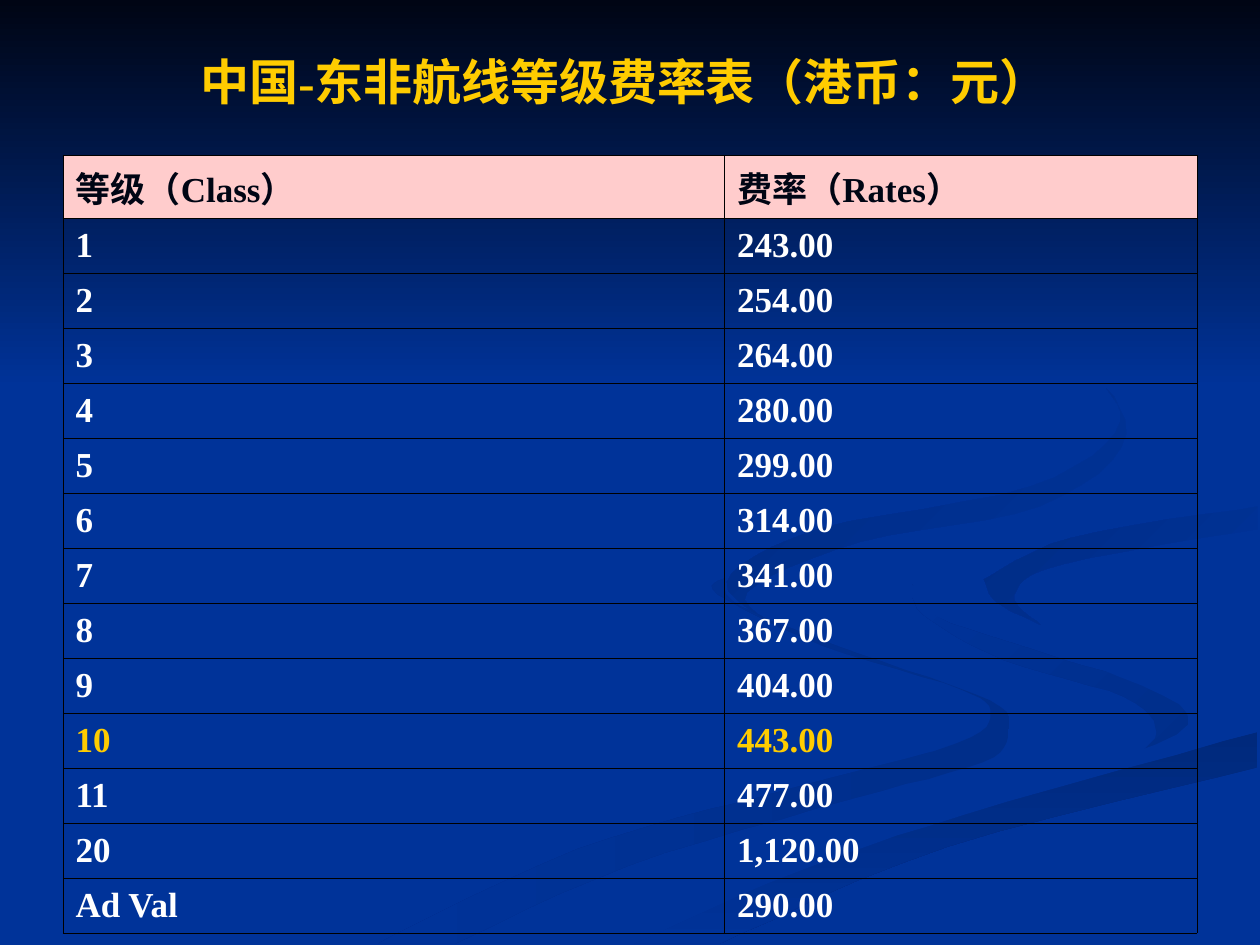
from dataclasses import dataclass
from typing import NamedTuple, Optional

from lxml import etree
from pptx import Presentation, util as u
from pptx.dml.color import RGBColor
from pptx.enum import text
from pptx.oxml.ns import qn

PX = 9144  # EMU per px, 100 px to the inch
SLIDE_W, SLIDE_H = 1000, 750
CURVE_STEPS = 6

Edge = list[tuple[int, int]]


@dataclass(frozen=True)
class Theme:
    background: str = "003399"
    night: str = "000514"
    accent: str = "FFCC00"
    body: str = "FFFFFF"
    header_fill: str = "FFCCCC"
    border: str = "000000"
    curve_shade: str = "002E8A"
    band_shade: str = "00297C"
    hook_shade: str = "002C85"
    upper_shade: str = "002B81"
    font: str = "Times New Roman"
    title_size: int = 28
    body_size: int = 20
    border_width: float = 0.34


THEME = Theme()


class Rate(NamedTuple):
    grade: str
    amount: str
    color: str = THEME.body


@dataclass(frozen=True)
class Ribbon:
    """Outline of smooth edges; a second color makes a gradient, angle is clockwise."""
    edges: list[Edge]
    start: str
    end: Optional[str] = None
    angle: int = 0


BAND_TOP = [(998, 581), (764, 647), (630, 693), (503, 749)]

RIBBONS = [
    # Left S-curve
    Ribbon([[(575, 459), (587, 481), (682, 519), (786, 556), (800, 581), (780, 605),
             (676, 634), (499, 687), (361, 749)],
            [(300, 749), (458, 674), (616, 629), (759, 590), (786, 566), (762, 547),
             (654, 513), (570, 472), (575, 459)]],
           THEME.curve_shade, THEME.background, 180),
    # Right S-curve
    Ribbon([[(724, 464), (745, 490), (830, 519), (919, 547), (943, 570), (932, 589), (894, 605)],
            [(894, 605), (918, 581), (892, 553), (797, 524), (733, 488), (724, 464)]],
           THEME.curve_shade, THEME.background, 225),
    # Lower band
    Ribbon([BAND_TOP, [(571, 749), (752, 672), (998, 609)]],
           THEME.band_shade, THEME.background, 90),
    # Plain ribbon between the curves
    Ribbon([[(477, 749), (619, 684), (813, 625), (943, 575), (871, 530), (745, 490),
             (725, 464), (755, 432), (999, 387)],
            [(999, 402), (850, 427), (781, 463), (832, 498), (999, 538)], BAND_TOP],
           THEME.background),
    # Right hook
    Ribbon([[(781, 460), (791, 478), (826, 496)],
            [(826, 496), (805, 472), (843, 448), (998, 420)],
            [(998, 402), (850, 427), (781, 460)]],
           THEME.background, THEME.hook_shade, 225),
    # Upper S-curve
    Ribbon([[(762, 233), (843, 275), (894, 344), (825, 402), (683, 430), (593, 470), (622, 500)],
            [(622, 500), (577, 462), (649, 420), (818, 386), (889, 335), (846, 279), (762, 233)]],
           THEME.background, THEME.upper_shade, 225),
    # Dark sky at the top
    Ribbon([[(0, 0), (SLIDE_W, 0)], [(SLIDE_W, 308), (0, 308)]],
           THEME.night, THEME.background, 90),
]

TITLE = "中国-东非航线等级费率表（港币：元） "
RATES = [
    Rate("等级（Class）", "费率（Rates）", THEME.night),
    Rate("1", "243.00"),
    Rate("2", "254.00"),
    Rate("3", "264.00"),
    Rate("4", "280.00"),
    Rate("5", "299.00"),
    Rate("6", "314.00"),
    Rate("7", "341.00"),
    Rate("8", "367.00"),
    Rate("9", "404.00"),
    Rate("10", "443.00", THEME.accent),
    Rate("11", "477.00"),
    Rate("20", "1,120.00"),
    Rate("Ad Val", "290.00"),
]
COLUMN_WIDTHS = (525, 375)
TABLE_LEFT, TABLE_TOP, TABLE_H = 50, 123, 611


def rgb(color: str) -> RGBColor:
    return RGBColor.from_string(color)


def smooth(edge: Edge) -> list[tuple[float, float]]:
    """Catmull-Rom curve through the points of one edge."""
    padded = [edge[0], *edge, edge[-1]]
    curve = [edge[0]]
    for before, here, there, after in zip(padded, padded[1:], padded[2:], padded[3:]):
        for step in range(1, CURVE_STEPS + 1):
            t = step / CURVE_STEPS
            curve.append(tuple(
                b + ((c - a) * t + (2 * a - 5 * b + 4 * c - d) * t ** 2
                     + (3 * b - a - 3 * c + d) * t ** 3) / 2
                for a, b, c, d in zip(before, here, there, after)))
    return curve


def format_text(frame, size: int, color: str) -> None:
    for run in frame.paragraphs[0].runs:
        run.font.name = THEME.font
        run.font.size = u.Pt(size)
        run.font.bold = True
        run.font.color.rgb = rgb(color)


def draw_ribbon(slide, ribbon: Ribbon) -> None:
    points = [point for edge in ribbon.edges for point in smooth(edge)]
    builder = slide.shapes.build_freeform(*points[0], scale=PX)
    builder.add_line_segments(points[1:], close=True)
    outline = builder.convert_to_shape()
    outline.shadow.inherit = False
    outline.line.fill.background()
    if ribbon.end is None:
        outline.fill.solid()
        outline.fill.fore_color.rgb = rgb(ribbon.start)
        return
    outline.fill.gradient()
    outline.fill.gradient_angle = (360 - ribbon.angle) % 360
    for stop, color in zip(outline.fill.gradient_stops, (ribbon.start, ribbon.end)):
        stop.color.rgb = rgb(color)


def draw_title(slide) -> None:
    title = slide.shapes.title
    slide.shapes._spTree.append(title._element)  # in front of the ribbons
    title.left, title.top, title.width, title.height = (n * PX for n in (50, 13, 900, 102))
    title.text_frame.text = TITLE
    title.text_frame.vertical_anchor = text.MSO_ANCHOR.MIDDLE
    title.text_frame.paragraphs[0].alignment = text.PP_ALIGN.CENTER
    format_text(title.text_frame, THEME.title_size, THEME.accent)


def add_borders(cell) -> None:
    properties = cell._tc.get_or_add_tcPr()
    for side in ("a:lnL", "a:lnR", "a:lnT", "a:lnB"):
        line = etree.SubElement(properties, qn(side), w=str(u.Pt(THEME.border_width)))
        fill = etree.SubElement(line, qn("a:solidFill"))
        etree.SubElement(fill, qn("a:srgbClr"), val=THEME.border)


def draw_rates(slide) -> None:
    table = slide.shapes.add_table(
        len(RATES), len(COLUMN_WIDTHS), TABLE_LEFT * PX, TABLE_TOP * PX,
        sum(COLUMN_WIDTHS) * PX, TABLE_H * PX).table
    table.first_row = table.horz_banding = False
    for column, width in zip(table.columns, COLUMN_WIDTHS):
        column.width = width * PX
    for row, rate in enumerate(RATES):
        for col, label in enumerate((rate.grade, rate.amount)):
            cell = table.cell(row, col)
            cell.text_frame.text = label
            cell.vertical_anchor = text.MSO_ANCHOR.MIDDLE
            format_text(cell.text_frame, THEME.body_size, rate.color)
            add_borders(cell)
            if row == 0:
                cell.fill.solid()
                cell.fill.fore_color.rgb = rgb(THEME.header_fill)
            else:
                cell.fill.background()


def main() -> None:
    deck = Presentation()
    deck.slide_width, deck.slide_height = SLIDE_W * PX, SLIDE_H * PX
    slide = deck.slides.add_slide(deck.slide_layouts[5])
    slide.background.fill.solid()
    slide.background.fill.fore_color.rgb = rgb(THEME.background)
    for ribbon in RIBBONS:
        draw_ribbon(slide, ribbon)
    draw_title(slide)
    draw_rates(slide)
    deck.save("out.pptx")


if __name__ == "__main__":
    main()
